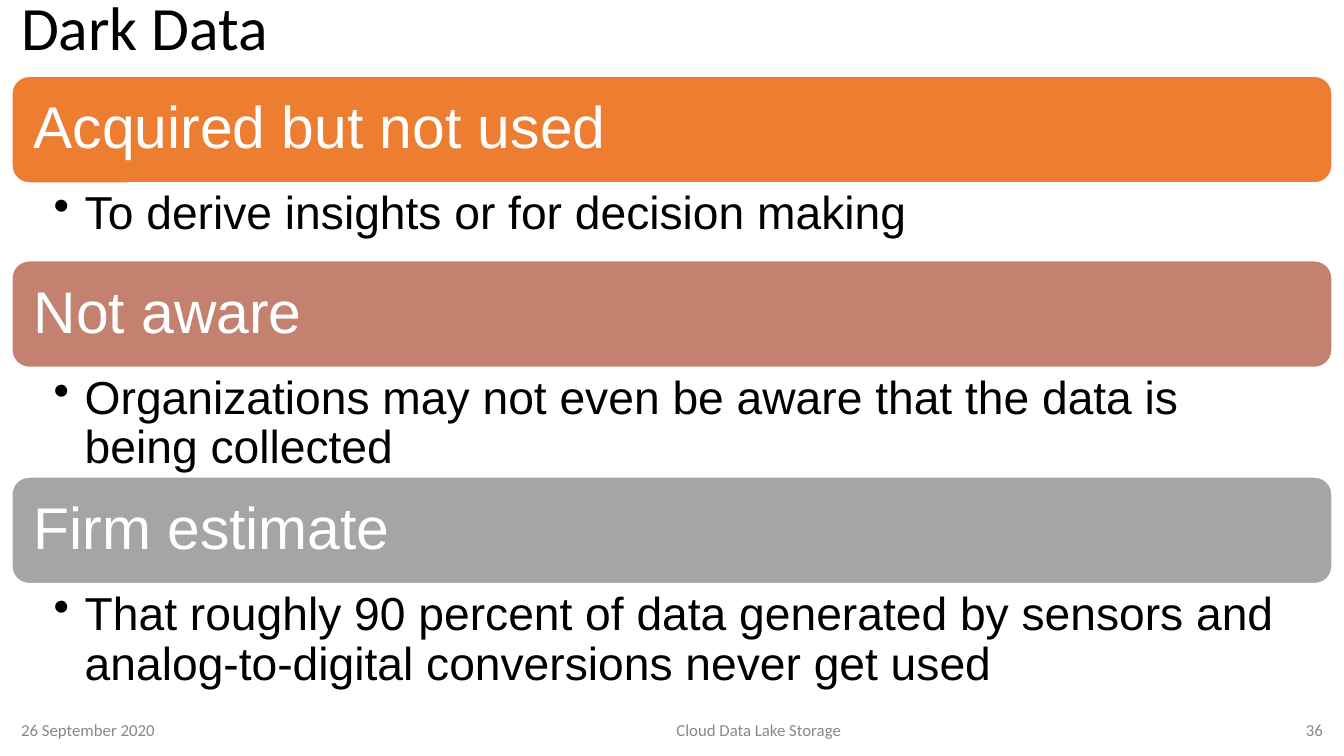
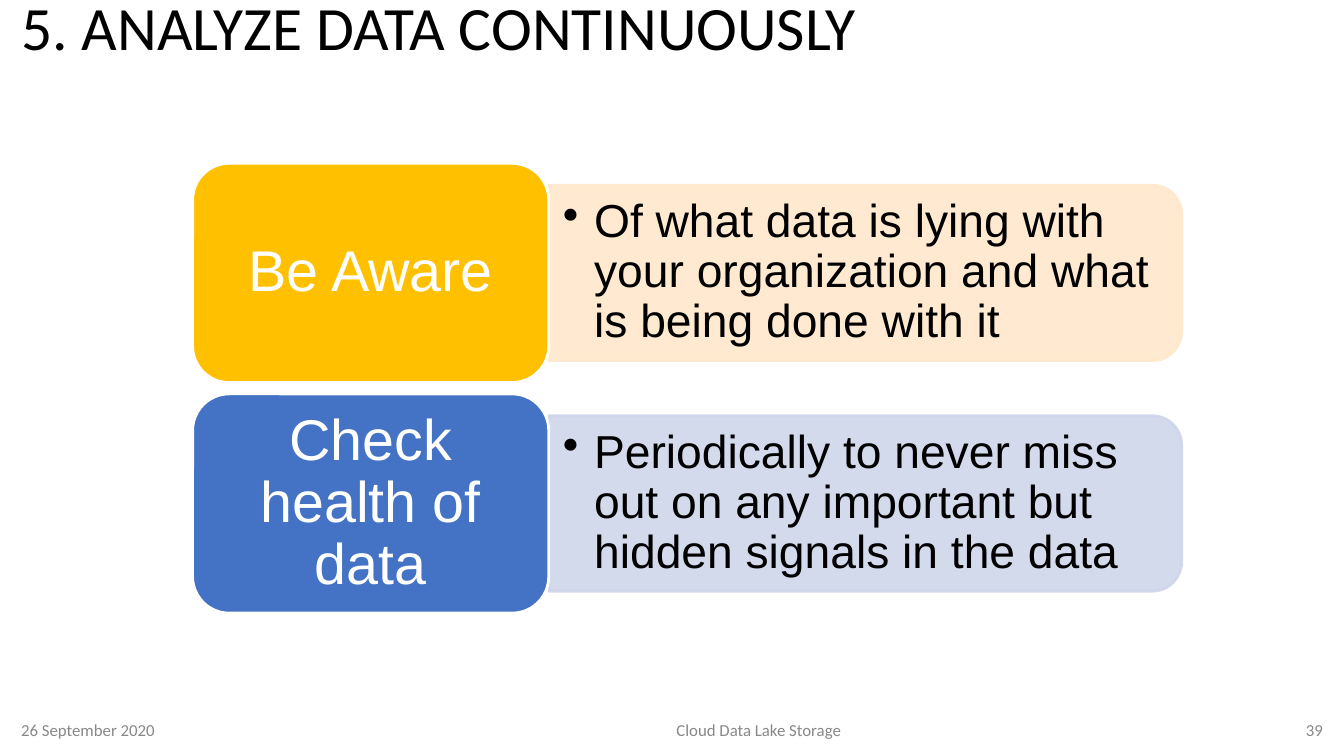
"""Build two slides on dark data and continuous analysis."""
from lxml import etree
from pptx import Presentation
from pptx.dml.color import RGBColor
from pptx.enum.shapes import MSO_SHAPE
from pptx.enum.text import MSO_ANCHOR, PP_ALIGN
from pptx.oxml.ns import qn
from pptx.util import Inches, Pt

ROUNDED = MSO_SHAPE.ROUNDED_RECTANGLE
ROUNDED_TOP = MSO_SHAPE.ROUND_2_SAME_RECTANGLE
TOP, MIDDLE = MSO_ANCHOR.TOP, MSO_ANCHOR.MIDDLE
LEFT, CENTER, RIGHT = PP_ALIGN.LEFT, PP_ALIGN.CENTER, PP_ALIGN.RIGHT

BLACK = RGBColor(0x00, 0x00, 0x00)
WHITE = RGBColor(0xFF, 0xFF, 0xFF)
FOOTER_GRAY = RGBColor(0x88, 0x88, 0x88)
ORANGE = RGBColor(0xED, 0x7D, 0x31)
ROSE = RGBColor(0xC4, 0x81, 0x70)
GRAY = RGBColor(0xA5, 0xA5, 0xA5)
GOLD = RGBColor(0xFF, 0xC0, 0x00)
BLUE = RGBColor(0x44, 0x72, 0xC4)
PALE_GOLD = RGBColor(0xFF, 0xE8, 0xCC)
PALE_BLUE = RGBColor(0xCF, 0xD6, 0xEA)

HEADING_FONT, BODY_FONT = "Calibri", "Arial"
FRAME_INSETS = (0.1, 0.05, 0.1, 0.05)
BAR_INSETS = (0.17, 0.17, 0.17, 0.17)
DETAIL_INSETS = (0.42, 0.06, 0.33, 0.06)
CARD_INSETS = (0.17, 0.09, 0.17, 0.09)
PANEL_INSETS = (0.14, 0.07, 0.14, 0.07)

presentation = Presentation()
presentation.slide_width = Inches(13.33)
presentation.slide_height = Inches(7.5)
COLUMN = presentation.slide_width / 120
ROW = presentation.slide_height / 100
FULL_WIDTH = 118


def add_block(slide, box, fill=None, line=WHITE, preset=ROUNDED, turned=False):
    """Add a text box, or a filled shape, at a grid box of columns and rows."""
    left, top, width, height = (
        round(value * unit) for value, unit in zip(box, (COLUMN, ROW) * 2))
    if fill is None:
        return slide.shapes.add_textbox(left, top, width, height)
    if turned:
        left, top = left + (width - height) // 2, top + (height - width) // 2
        width, height = height, width
    shape = slide.shapes.add_shape(preset, left, top, width, height)
    shape.rotation = 90 if turned else 0
    shape.shadow.inherit = False
    shape.fill.solid()
    shape.fill.fore_color.rgb = fill
    shape.line.color.rgb = line
    shape.line.width = Pt(2)
    return shape


def write(shape, text, size, color, insets, font=BODY_FONT, align=LEFT,
          anchor=MIDDLE, bullet=False):
    """Set the one paragraph of a shape."""
    frame = shape.text_frame
    frame.word_wrap = True
    frame.vertical_anchor = anchor
    (frame.margin_left, frame.margin_top,
     frame.margin_right, frame.margin_bottom) = map(Inches, insets)
    paragraph = frame.paragraphs[0]
    paragraph.alignment = align
    paragraph.line_spacing = 0.9
    if bullet:
        properties = paragraph._p.get_or_add_pPr()
        properties.set("marL", str(Inches(0.31)))
        properties.set("indent", str(-Inches(0.31)))
        etree.SubElement(properties, qn("a:buChar")).set("char", "•")
    run = paragraph.add_run()
    run.text = text
    run.font.size = Pt(size)
    run.font.name = font
    run.font.color.rgb = color


slides = []
for title, number in (("Dark Data", "36"), ("5. ANALYZE DATA CONTINUOUSLY", "39")):
    slide = presentation.slides.add_slide(presentation.slide_layouts[6])
    slides.append(slide)
    title_box = add_block(slide, (1, 0.4, FULL_WIDTH, 7.3))
    write(title_box, title, 44, BLACK, FRAME_INSETS, HEADING_FONT)
    for text, left, width, align in (
            ("26 September 2020", 1, 24.5, LEFT),
            ("Cloud Data Lake Storage", 27.3, 80.9, CENTER),
            (number, 112.7, 6.3, RIGHT)):
        footer = add_block(slide, (left, 94, width, 5.3))
        write(footer, text, 12, FOOTER_GRAY, FRAME_INSETS, HEADING_FONT, align)

dark_data, analysis = slides

BAR_HEIGHT = 14.3
bar_top = 10
for heading, detail, color, detail_height in (
        ("Acquired but not used", "To derive insights or for decision making",
         ORANGE, 10.1),
        ("Not aware",
         "Organizations may not even be aware that the data is being collected",
         ROSE, 14.3),
        ("Firm estimate",
         "That roughly 90 percent of data generated by sensors and "
         "analog-to-digital conversions never get used", GRAY, 14.3)):
    bar = add_block(dark_data, (1, bar_top, FULL_WIDTH, BAR_HEIGHT), color)
    write(bar, heading, 42, WHITE, BAR_INSETS)
    detail_top = bar_top + BAR_HEIGHT
    detail_box = add_block(dark_data, (1, detail_top, FULL_WIDTH, detail_height))
    write(detail_box, detail, 33, BLACK, DETAIL_INSETS, anchor=TOP, bullet=True)
    bar_top = detail_top + detail_height

CARD_LEFT, CARD_WIDTH, CARD_HEIGHT, CARD_PITCH = 17.2, 31.8, 29, 30.5
PANEL_LEFT, PANEL_WIDTH, PANEL_HEIGHT = CARD_LEFT + CARD_WIDTH, 56.5, 23.2
PANEL_TEXT_WIDTH, PANEL_TEXT_HEIGHT = 55.8, 20.9
for index, (heading, detail, color, pale) in enumerate((
        ("Be Aware",
         "Of what data is lying with your organization and what is being done with it",
         GOLD, PALE_GOLD),
        ("Check health of data",
         "Periodically to never miss out on any important but hidden signals in the data",
         BLUE, PALE_BLUE))):
    card_top = 21.6 + index * CARD_PITCH
    panel_top = card_top + (CARD_HEIGHT - PANEL_HEIGHT) / 2
    text_top = card_top + (CARD_HEIGHT - PANEL_TEXT_HEIGHT) / 2
    panel = add_block(analysis, (PANEL_LEFT, panel_top, PANEL_WIDTH, PANEL_HEIGHT),
                      pale, pale, ROUNDED_TOP, turned=True)
    for color_element in panel._element.spPr.iter(qn("a:srgbClr")):
        etree.SubElement(color_element, qn("a:alpha")).set("val", "90000")
    panel_text = add_block(
        analysis, (PANEL_LEFT, text_top, PANEL_TEXT_WIDTH, PANEL_TEXT_HEIGHT))
    write(panel_text, detail, 33, BLACK, PANEL_INSETS, bullet=True)
    card = add_block(analysis, (CARD_LEFT, card_top, CARD_WIDTH, CARD_HEIGHT), color)
    write(card, heading, 41, WHITE, CARD_INSETS, align=CENTER)

presentation.save("out.pptx")
